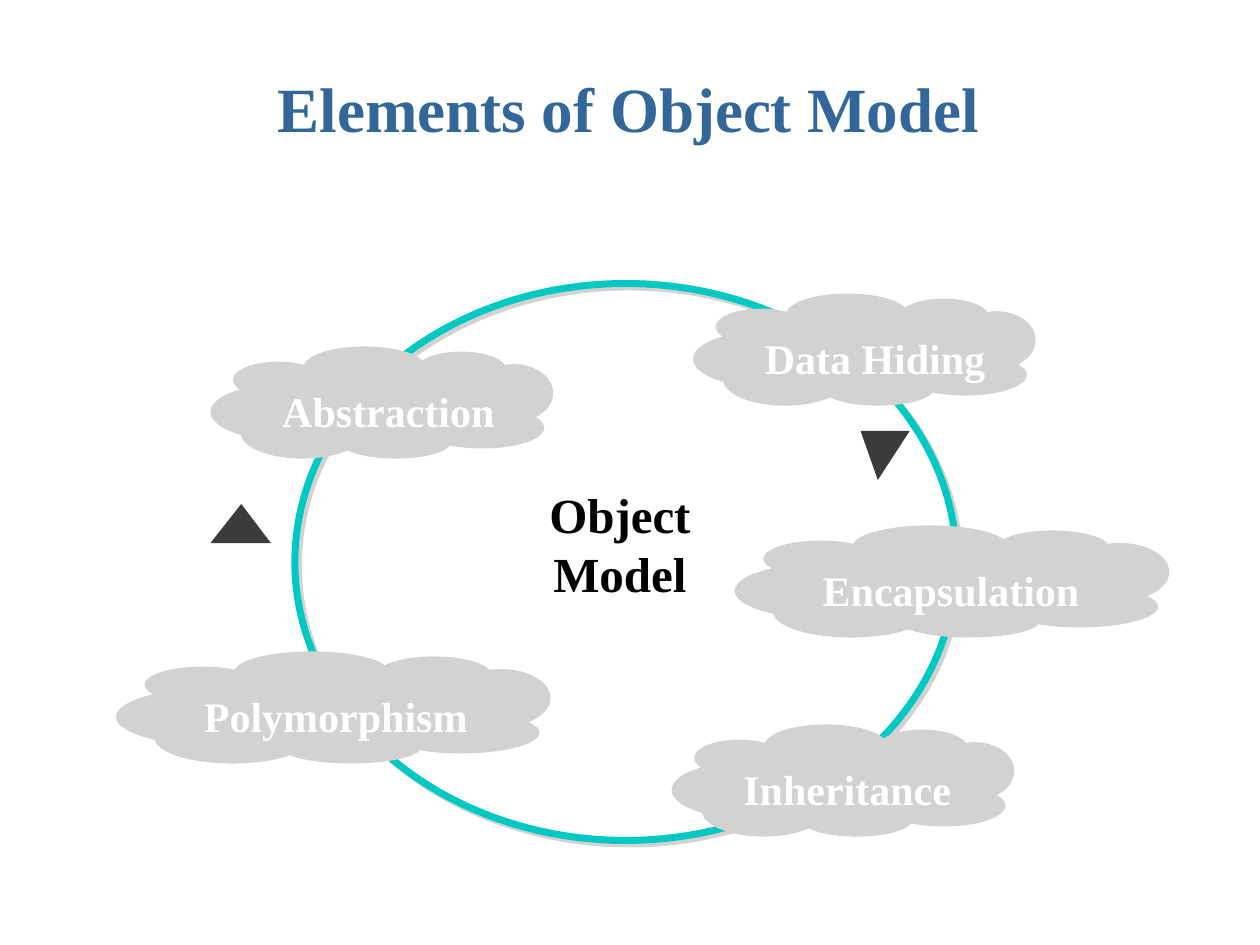
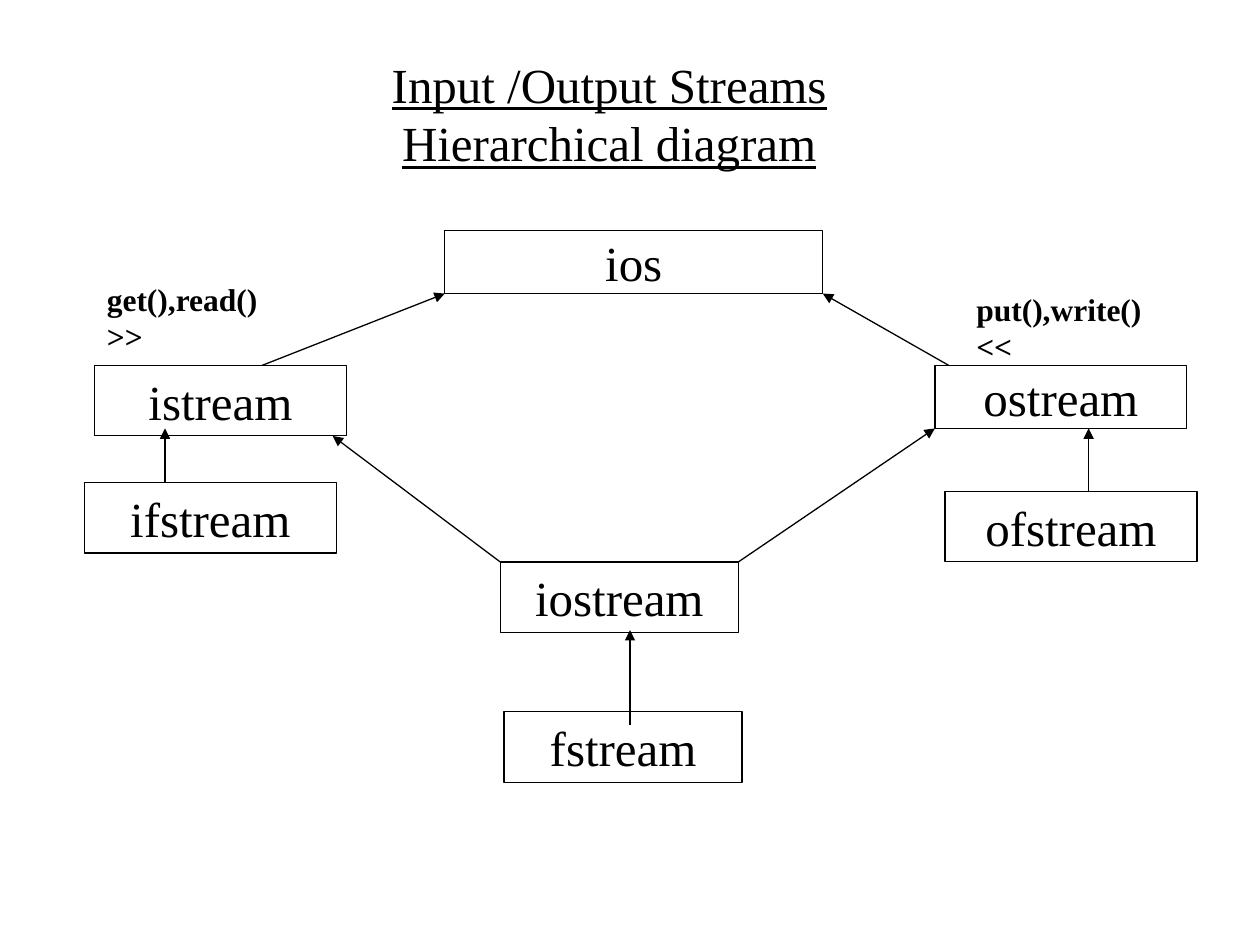
import pptx
import pptx.util
import pptx.dml.color
import pptx.enum.shapes
import pptx.enum.text
import pptx.oxml
import pptx.oxml.ns

Inches = pptx.util.Inches
RGBColor = pptx.dml.color.RGBColor
SHAPE = pptx.enum.shapes.MSO_SHAPE
ALIGN = pptx.enum.text.PP_ALIGN
ANCHOR = pptx.enum.text.MSO_ANCHOR

FONT = "Times New Roman"
TITLE_BLUE = RGBColor(0x33, 0x66, 0x99)
RING_TEAL = RGBColor(0x00, 0xC8, 0xC3)
CLOUD_GREY = RGBColor(0xD4, 0xD2, 0xD0)
ARROW_GREY = RGBColor(0x3B, 0x3B, 0x3B)
WHITE = RGBColor(0xFF, 0xFF, 0xFF)
BLACK = RGBColor(0x00, 0x00, 0x00)

CLOUD_WIDTH = 2.72
CLOUD_PUFFS = [
    (0.18, 0.12, 0.72, 0.29), (0.74, 0, 0.97, 0.33), (2.1, 0.14, 0.62, 0.46),
    (1.63, 0.04, 0.72, 0.29), (0, 0.29, 1.25, 0.46), (1.67, 0.48, 0.98, 0.33),
    (0.24, 0.48, 0.98, 0.41), (1.03, 0.63, 0.88, 0.26), (0.19, 0.11, 2.4, 0.68),
    (2.09, 0.16, 0.37, 0.15), (0.98, 0.66, 0.37, 0.15), (0.18, 0.41, 0.62, 0.35),
    (0.25, 0.24, 0.36, 0.16),
]
CLOUDS = [
    ("Abstraction", 1.67, 2.75, 2.72, 1.87),
    ("Inheritance", 5.33, 5.75, 2.72, 1.83),
    ("Data Hiding", 5.5, 2.33, 2.72, 1.93),
    ("Encapsulation", 5.83, 4.17, 3.45, 2.22),
    ("Polymorphism", 0.92, 5.17, 3.45, 2.27),
]
CLASS_BOXES = [
    ("ios", 2.86, 0, 3, 0.5),
    ("istream", 0.08, 1.07, 2, 0.56),
    ("ostream", 6.75, 1.07, 2, 0.5),
    ("ifstream", 0, 2, 2, 0.56),
    ("ofstream", 6.83, 2.07, 2, 0.56),
    ("fstream", 3.33, 3.82, 1.89, 0.56),
    ("iostream", 3.3, 2.63, 1.89, 0.56),
]
INHERITANCE_ARROWS = [
    (7.97, 2.07, 7.97, 1.57),
    (1.41, 1.07, 2.86, 0.5),
    (3.3, 2.63, 1.97, 1.63),
    (5.19, 2.63, 6.75, 1.57),
    (6.86, 1.07, 5.86, 0.5),
    (0.64, 2, 0.64, 1.57),
    (4.33, 3.92, 4.33, 3.17),
]


def write(shape, text, size, color=BLACK, bold=False, underline=False,
          align=ALIGN.LEFT, anchor=ANCHOR.TOP, wrap=False):
    """Put formatted text into a shape."""
    frame = shape.text_frame
    frame.text = text
    frame.word_wrap = wrap
    frame.vertical_anchor = anchor
    for paragraph in frame.paragraphs:
        paragraph.alignment = align
        for run in paragraph.runs:
            run.font.name = FONT
            run.font.size = pptx.util.Pt(size)
            run.font.bold = bold
            run.font.underline = underline
            run.font.color.rgb = color


def add_text(slide, text, left, top, width, height, size, **style):
    """Add a text box."""
    box = slide.shapes.add_textbox(Inches(left), Inches(top), Inches(width), Inches(height))
    write(box, text, size, **style)


def add_shape(shapes, kind, left, top, width, height, fill=None, line=None, weight=0.75):
    """Add a flat preset shape."""
    shape = shapes.add_shape(kind, Inches(left), Inches(top), Inches(width), Inches(height))
    shape.shadow.inherit = False
    if fill is None:
        shape.fill.background()
    else:
        shape.fill.solid()
        shape.fill.fore_color.rgb = fill
    if line is None:
        shape.line.fill.background()
    else:
        shape.line.color.rgb = line
        shape.line.width = pptx.util.Pt(weight)
    return shape


def add_ring(slide, left, top, width, height):
    """Draw the teal ring with its offset shadow."""
    ring = add_shape(slide.shapes, SHAPE.OVAL, left, top, width, height, line=RING_TEAL, weight=4)
    effects = ring._element.spPr.find(pptx.oxml.ns.qn("a:effectLst"))
    effects.append(pptx.oxml.parse_xml(
        f'<a:outerShdw {pptx.oxml.ns.nsdecls("a")} dist="35560" dir="2700000" '
        f'algn="ctr" rotWithShape="0"><a:srgbClr val="{CLOUD_GREY}"/></a:outerShdw>'))


def add_cloud(slide, label, left, top, width, label_width):
    """Draw a cloud of ellipses stretched to a width, with its label."""
    shapes = slide.shapes.add_group_shape().shapes
    stretch = width / CLOUD_WIDTH
    for x, y, puff_width, puff_height in CLOUD_PUFFS:
        add_shape(shapes, SHAPE.OVAL, left + x * stretch, top + y,
                  puff_width * stretch, puff_height, CLOUD_GREY)
    plate = add_shape(shapes, SHAPE.RECTANGLE, left + 0.48 * stretch, top + 0.26,
                      label_width, 0.49, CLOUD_GREY)
    write(plate, label, 24, WHITE, bold=True)
    plate.text_frame.margin_left = plate.text_frame.margin_right = Inches(0.09)


def add_direction(slide, left, top, width, height, tip, rotation=0):
    """Draw a triangle that shows the direction round the ring."""
    triangle = add_shape(slide.shapes, SHAPE.ISOSCELES_TRIANGLE, left, top, width, height, ARROW_GREY)
    triangle.adjustments[0] = tip
    triangle.rotation = rotation


def add_arrow(slide, start_x, start_y, end_x, end_y):
    """Draw a thin arrow that points at its end."""
    arrow = slide.shapes.add_connector(
        pptx.enum.shapes.MSO_CONNECTOR.STRAIGHT,
        Inches(start_x), Inches(start_y), Inches(end_x), Inches(end_y))
    arrow.line.color.rgb = BLACK
    arrow.line.width = pptx.util.Pt(0.75)
    namespace = pptx.oxml.ns.nsdecls("a")
    arrow.line._get_or_add_ln().append(
        pptx.oxml.parse_xml(f'<a:tailEnd {namespace} type="triangle"/>'))
    arrow._element.spPr.append(pptx.oxml.parse_xml(f"<a:effectLst {namespace}/>"))


def add_hierarchy(slide, left, top):
    """Draw the stream classes and the arrows to their base classes."""
    for name, x, y, width, height in CLASS_BOXES:
        box = add_shape(slide.shapes, SHAPE.RECTANGLE, left + x, top + y, width, height, WHITE, BLACK)
        write(box, name, 28, align=ALIGN.CENTER, anchor=ANCHOR.MIDDLE)
    for start_x, start_y, end_x, end_y in INHERITANCE_ARROWS:
        add_arrow(slide, left + start_x, top + start_y, left + end_x, top + end_y)
    add_text(slide, "get(),read()\n>>", left + 0.08, top + 0.34, 1.4, 0.7, 18, bold=True)
    add_text(slide, "put(),write()\n<<", left + 6.98, top + 0.42, 1.51, 0.7, 18, bold=True)


def build_object_model(slide):
    """Build the slide on the elements of the object model."""
    add_text(slide, "Elements of Object Model", 1.99, 0.5, 6, 0.67, 36,
             color=TITLE_BLUE, bold=True, align=ALIGN.CENTER)
    add_ring(slide, 2.34, 2.25, 5.25, 4.42)
    for cloud in CLOUDS:
        add_cloud(slide, *cloud)
    add_direction(slide, 6.83, 3.42, 0.39, 0.39, 0.65, rotation=180)
    add_direction(slide, 1.67, 4, 0.48, 0.31, 0.51)
    add_text(slide, "Object\vModel", 4.26, 3.8, 1.32, 1.03, 28, bold=True, align=ALIGN.CENTER)


def build_streams(slide):
    """Build the slide on the stream class hierarchy."""
    add_text(slide, "Input /Output Streams\nHierarchical diagram", 2.75, 0.38, 4.17, 1.03, 28,
             underline=True, align=ALIGN.CENTER, wrap=True)
    add_hierarchy(slide, 0.67, 1.83)


def main():
    """Build and save the presentation."""
    presentation = pptx.Presentation()
    presentation.slide_width = Inches(10)
    presentation.slide_height = Inches(7.5)
    for build in (build_object_model, build_streams):
        build(presentation.slides.add_slide(presentation.slide_layouts[6]))
    presentation.save("out.pptx")


if __name__ == "__main__":
    main()
